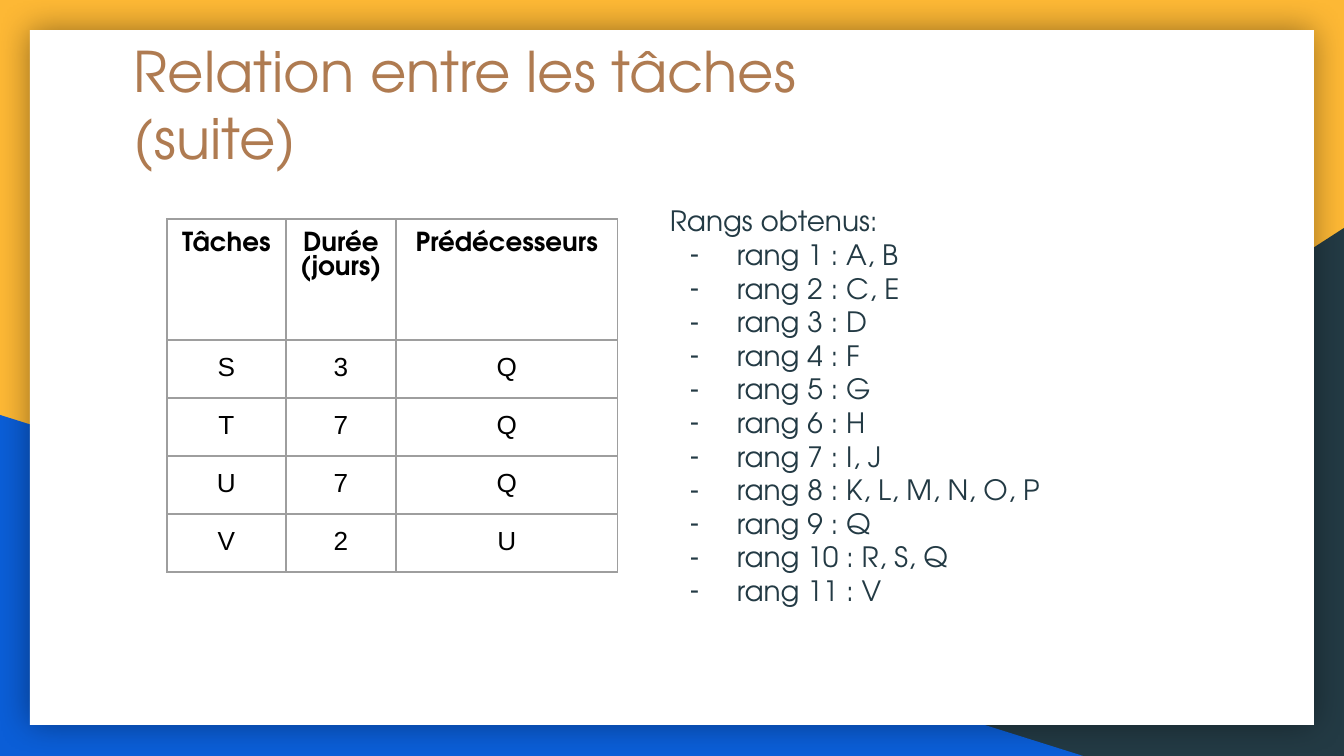
"""Build the slide on task relations: a predecessor table beside the list of ranks."""
import lxml.etree
import pptx
import pptx.dml.color
import pptx.enum.shapes
import pptx.enum.text
import pptx.oxml
import pptx.oxml.ns
import pptx.util

PX = 914400 / 134.4
FONT = "TeX Gyre Adventor"
COLORS = {
    "yellow": "FDB835",
    "blue": "0B5ED7",
    "dark": "233A44",
    "white": "FFFFFF",
    "brown": "AF7B51",
    "black": "000000",
    "border": "9E9E9E",
}
NAMESPACE = pptx.oxml.ns.nsdecls("a")
SHAPES = pptx.enum.shapes.MSO_SHAPE


def px(*lengths):
    return [round(length * PX) for length in lengths]


def format_text(text_frame, size, color, font=FONT, bold=False):
    for paragraph in text_frame.paragraphs:
        for run in paragraph.runs:
            run.font.name = font
            run.font.size = pptx.util.Pt(size)
            run.font.bold = bold
            run.font.color.rgb = pptx.dml.color.RGBColor.from_string(COLORS[color])


presentation = pptx.Presentation()
presentation.slide_width, presentation.slide_height = px(1344, 756)
slide = presentation.slides.add_slide(presentation.slide_layouts[6])
slide.background.fill.solid()
slide.background.fill.fore_color.rgb = pptx.dml.color.RGBColor.from_string(COLORS["yellow"])

backdrop = [
    (SHAPES.RIGHT_TRIANGLE, "dark", (527, 228, 817, 528)),
    (SHAPES.RIGHT_TRIANGLE, "blue", (0, 415, 1083, 341)),
    (SHAPES.RECTANGLE, "white", (30, 30, 1284, 695)),
]
panels = {}
for preset, color, box in backdrop:
    shape = slide.shapes.add_shape(preset, *px(*box))
    shape.shadow.inherit = False
    shape.fill.solid()
    shape.fill.fore_color.rgb = pptx.dml.color.RGBColor.from_string(COLORS[color])
    shape.line.fill.background()
    panels[color] = shape
panels["dark"]._element.spPr.xfrm.set("flipH", "1")
effects = panels["white"]._element.spPr.find(pptx.oxml.ns.qn("a:effectLst"))
effects.append(pptx.oxml.parse_xml(
    f'<a:outerShdw {NAMESPACE} blurRad="{pptx.util.Pt(18)}" dist="0" dir="0" algn="ctr" rotWithShape="0">'
    f'<a:srgbClr val="{COLORS["black"]}"><a:alpha val="40000"/></a:srgbClr></a:outerShdw>'
))

ranks = ["A, B", "C, E", "D", "F", "G", "H", "I, J", "K, L, M, N, O, P", "Q", "R, S, Q", "V"]
rank_lines = [f"rang {number} : {tasks}" for number, tasks in enumerate(ranks, 1)]
texts = [
    ("Relation entre les tâches (suite)", (121, 23, 839, 95), 30, "brown"),
    ("\n".join(["Rangs obtenus:"] + rank_lines), (657, 191, 501, 434), 15, "dark"),
]
for text, box, size, color in texts:
    text_box = slide.shapes.add_textbox(*px(*box))
    text_frame = text_box.text_frame
    text_frame.word_wrap = True
    text_frame.margin_left, text_frame.margin_top = px(13, 13)
    text_frame.margin_right, text_frame.margin_bottom = px(13, 13)
    text_frame.text = text
    format_text(text_frame, size, color)

margin, indent = px(67, -47)
for paragraph in text_frame.paragraphs[1:]:
    properties = paragraph._p.get_or_add_pPr()
    properties.set("marL", str(margin))
    properties.set("indent", str(indent))
    bullet_color = lxml.etree.SubElement(properties, pptx.oxml.ns.qn("a:buClr"))
    lxml.etree.SubElement(bullet_color, pptx.oxml.ns.qn("a:srgbClr"), val=COLORS["dark"])
    lxml.etree.SubElement(properties, pptx.oxml.ns.qn("a:buFont"), typeface="Arial")
    lxml.etree.SubElement(properties, pptx.oxml.ns.qn("a:buChar"), char="-")

rows = [
    ("Tâches", "Durée (jours)", "Prédécesseurs"),
    ("S", "3", "Q"),
    ("T", "7", "Q"),
    ("U", "7", "Q"),
    ("V", "2", "U"),
]
column_widths = px(119, 110, 222)
row_heights = px(121, *[58] * 4)
table = slide.shapes.add_table(
    len(rows), len(column_widths), *px(167, 219), sum(column_widths), sum(row_heights)
).table
table.first_row = table.horz_banding = False
for column, width in zip(table.columns, column_widths):
    column.width = width
for row, height in zip(table.rows, row_heights):
    row.height = height

for row_index, values in enumerate(rows):
    header = row_index == 0
    for column_index, value in enumerate(values):
        cell = table.cell(row_index, column_index)
        cell.margin_left, cell.margin_top, cell.margin_right, cell.margin_bottom = px(*[13] * 4)
        cell.text_frame.text = value
        cell.text_frame.paragraphs[0].alignment = pptx.enum.text.PP_ALIGN.CENTER
        format_text(cell.text_frame, 14, "black", FONT if header else "Arial", header)
        for side in "LRTB":
            cell._tc.get_or_add_tcPr().append(pptx.oxml.parse_xml(
                f'<a:ln{side} {NAMESPACE} w="{pptx.util.Pt(0.75)}"><a:solidFill>'
                f'<a:srgbClr val="{COLORS["border"]}"/></a:solidFill></a:ln{side}>'
            ))
        cell.fill.background()

presentation.save("out.pptx")
